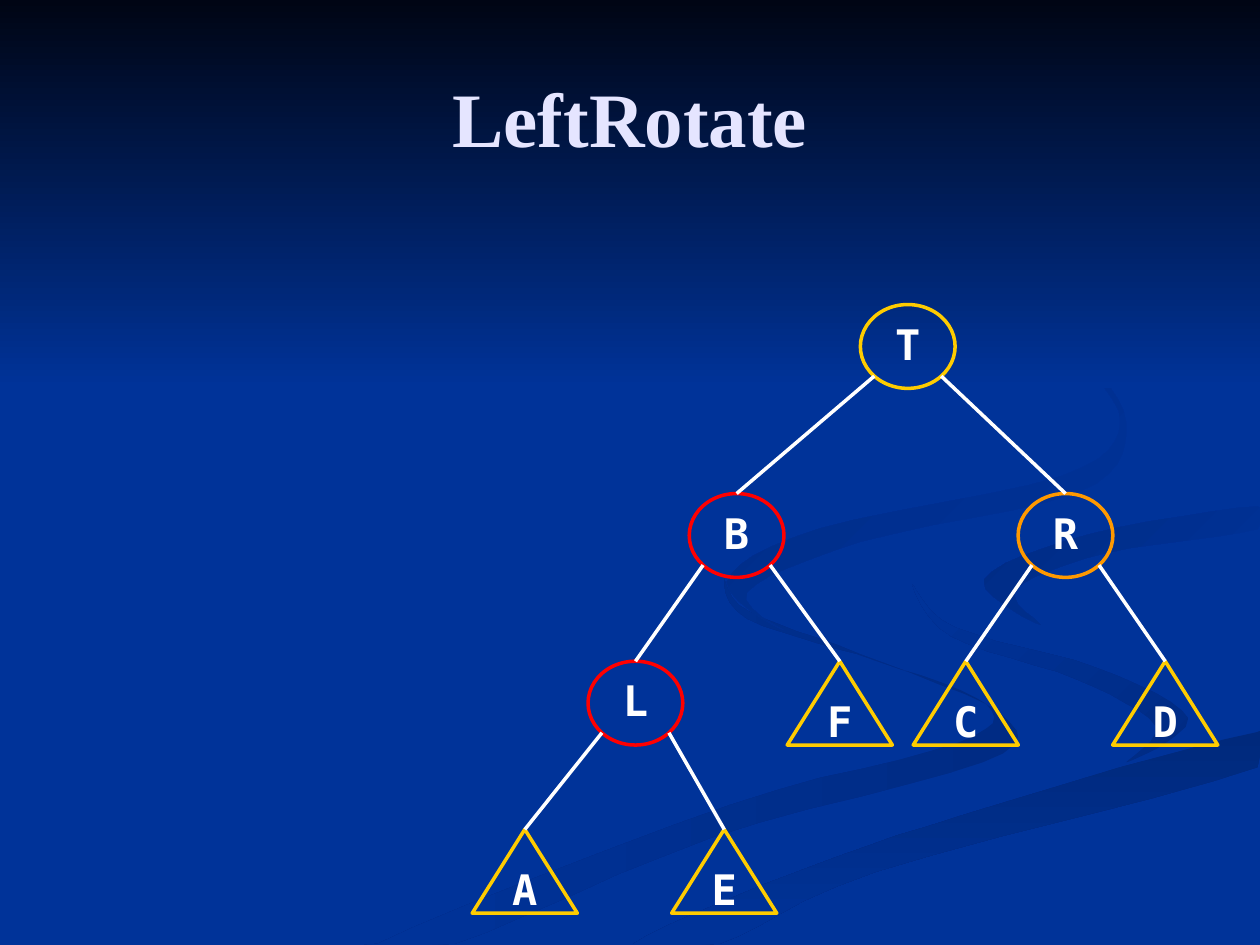
from math import sqrt

from lxml import etree
from pptx import Presentation
from pptx.dml.color import RGBColor
from pptx.enum.shapes import MSO_CONNECTOR, MSO_SHAPE
from pptx.enum.text import MSO_ANCHOR, PP_ALIGN
from pptx.oxml.ns import qn
from pptx.util import Cm, Pt

CENTER = PP_ALIGN.CENTER
MIDDLE = MSO_ANCHOR.MIDDLE
OVAL = MSO_SHAPE.OVAL
TRIANGLE = MSO_SHAPE.ISOSCELES_TRIANGLE
RECTANGLE = MSO_SHAPE.RECTANGLE
STRAIGHT = MSO_CONNECTOR.STRAIGHT

COLORS = {
    "blue": "003399", "night": "000514", "shade": "002B84", "deep": "00297C",
    "title": "E5E5FF", "white": "FFFFFF",
    "gold": "FFCC00", "red": "FF0000", "orange": "FF9900",
}


def color(name):
    return RGBColor.from_string(COLORS[name])


def write(shape, text, *, font, size, ink, wrap=True, spacing=1.0):
    frame = shape.text_frame
    frame.word_wrap = wrap
    frame.vertical_anchor = MIDDLE
    para = frame.paragraphs[0]
    para.alignment = CENTER
    para.line_spacing = spacing
    span = para.add_run()
    span.text = text
    span.font.name = font
    span.font.size = Pt(size)
    span.font.bold = True
    span.font.color.rgb = color(ink)


deck = Presentation()
deck.slide_width, deck.slide_height = Cm(25.4), Cm(19.05)
page = deck.slides.add_slide(deck.slide_layouts[5])
page.background.fill.solid()
page.background.fill.fore_color.rgb = color("blue")

# Background ribbons: first colour, last colour, angle, outline on a grid of 0.0254 cm
RIBBONS = [
    ("shade", "blue", 180, [
        (575, 459), (593, 491), (697, 525), (783, 559), (759, 590), (579, 639),
        (300, 749), (361, 749), (564, 665), (780, 605), (795, 567), (682, 519),
        (594, 485)]),
    ("shade", "blue", 135, [
        (724, 464), (755, 505), (854, 539), (917, 576), (894, 605), (943, 570),
        (870, 530), (758, 498)]),
    ("deep", "blue", 270, [
        (503, 749), (571, 749), (695, 692), (998, 609), (998, 581), (764, 647),
        (630, 693)]),
    ("blue", "shade", 135, [
        (781, 460), (826, 496), (806, 468), (878, 439), (998, 420), (998, 402),
        (865, 424)]),
    ("blue", "shade", 135, [
        (762, 233), (864, 291), (894, 344), (855, 391), (683, 430), (593, 470),
        (622, 500), (577, 462), (649, 420), (842, 378), (889, 335), (846, 279)]),
]
STEPS = 6
backdrop = []
for first, last, angle, knots in RIBBONS:
    # Round the outline with a closed Catmull-Rom curve, kept inside the page
    curve = []
    for i, knot in enumerate(knots):
        after, beyond = (knots[(i + k) % len(knots)] for k in (1, 2))
        for t in (step / STEPS for step in range(STEPS)):
            x, y = (
                b + t / 2 * (c - a + t * (2 * a - 5 * b + 4 * c - d
                                          + t * (3 * b - a - 3 * c + d)))
                for a, b, c, d in zip(knots[i - 1], knot, after, beyond))
            curve.append((min(round(x), 1000), min(round(y), 750)))
    builder = page.shapes.build_freeform(*curve[0], scale=Cm(0.0254))
    builder.add_line_segments(curve[1:], close=True)
    backdrop.append((builder.convert_to_shape(), first, last, angle))

# Dark band across the top
band = page.shapes.add_shape(RECTANGLE, 0, 0, deck.slide_width, Cm(7.82))
backdrop.append((band, "night", "blue", 270))
for shape, first, last, angle in backdrop:
    shape.shadow.inherit = False
    shape.line.fill.background()
    shape.fill.gradient()
    shape.fill.gradient_angle = angle
    for stop, name in zip(shape.fill.gradient_stops, (first, last)):
        stop.color.rgb = color(name)

# Title, brought in front of the backdrop
title = page.shapes.title
title.left, title.top, title.width, title.height = Cm(1.27), Cm(0.76), Cm(22.86), Cm(3.18)
write(title, "LeftRotate", font="Times New Roman", size=44, ink="title")
page.shapes.element.append(title.element)

# Tree nodes: centre x in cm, level, kind, outline colour
NODES = {
    "T": (18.3, 0, OVAL, "gold"),
    "B": (14.85, 1, OVAL, "red"),
    "R": (21.48, 1, OVAL, "orange"),
    "L": (12.81, 2, OVAL, "red"),
    "F": (16.93, 2, TRIANGLE, "gold"),
    "C": (19.47, 2, TRIANGLE, "gold"),
    "D": (23.49, 2, TRIANGLE, "gold"),
    "A": (10.58, 3, TRIANGLE, "gold"),
    "E": (14.6, 3, TRIANGLE, "gold"),
}
LEVEL_TOPS = [6.14, 9.95, 13.33, 16.72]
WIDTHS = {OVAL: 1.91, TRIANGLE: 2.12}
NODE_HEIGHT = 1.69
nodes = {}
for letter, (center, level, kind, outline) in NODES.items():
    width = WIDTHS[kind]
    node = page.shapes.add_shape(kind, Cm(center - width / 2), Cm(LEVEL_TOPS[level]),
                                 Cm(width), Cm(NODE_HEIGHT))
    node.shadow.inherit = False
    node.fill.background()
    node.line.color.rgb = color(outline)
    node.line.width = Pt(2)
    write(node, letter, font="DejaVu Sans Mono", size=24, ink="white",
          wrap=False, spacing=0.9)
    nodes[letter] = node

# Edges run from the lower diagonals of a parent to the top of each child
CHILDREN = {"T": "BR", "B": "LF", "R": "CD", "L": "AE"}
for parent, pair in CHILDREN.items():
    oval = nodes[parent]
    for side, child in zip((-1, 1), pair):
        x = oval.left + int(oval.width / 2 * (1 + side / sqrt(2)))
        y = oval.top + int(oval.height / 2 * (1 + 1 / sqrt(2)))
        edge = page.shapes.add_connector(STRAIGHT, x, y, x, y)
        edge.end_connect(nodes[child], 0)
        edge.line.color.rgb = color("white")
        edge.line.width = Pt(2)
        etree.SubElement(edge.element.spPr, qn("a:effectLst"))

deck.save("out.pptx")
